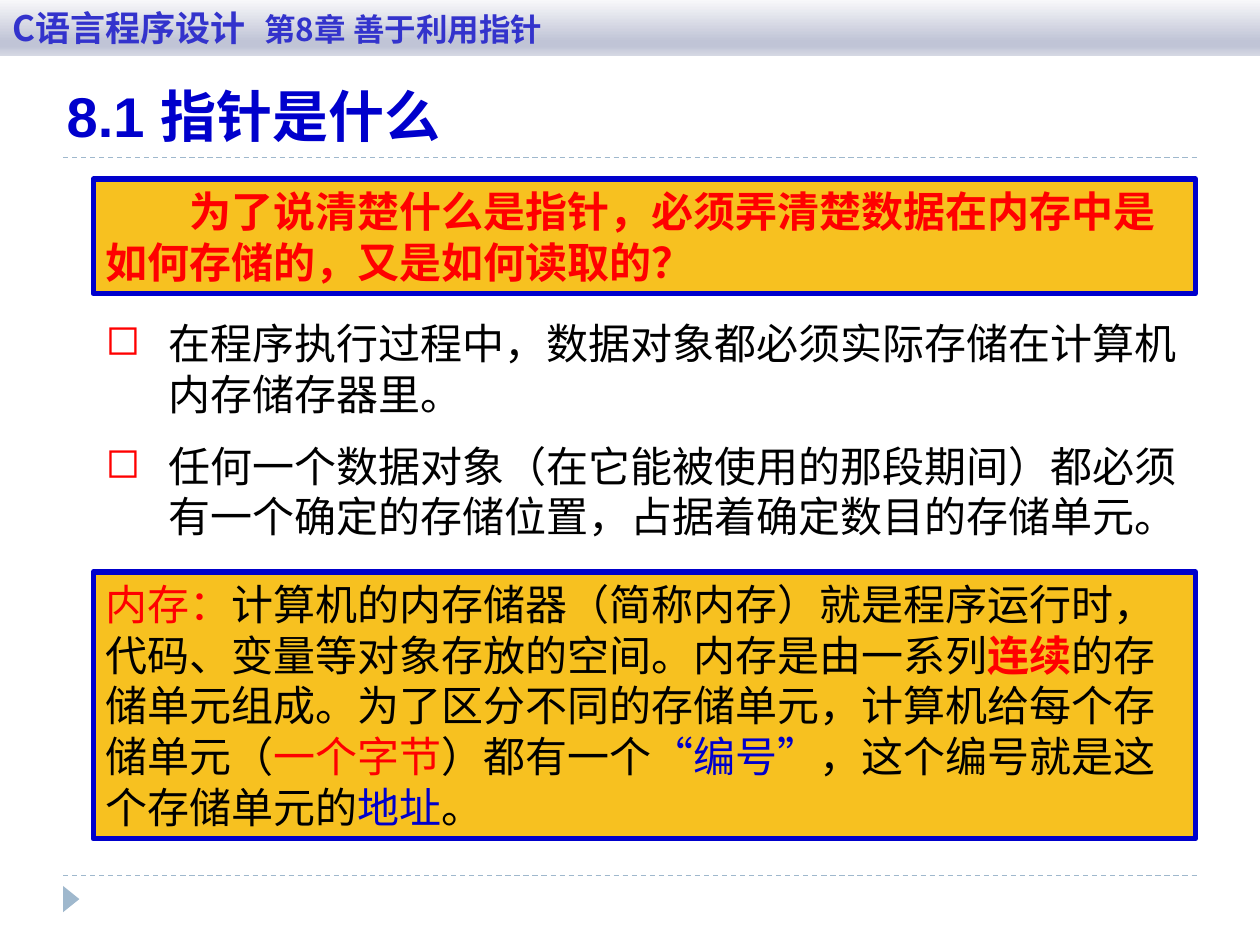
"""Build the slide that introduces pointers and memory addresses."""
from lxml.etree import SubElement
from pptx import Presentation
from pptx.dml.color import RGBColor
from pptx.enum.dml import MSO_LINE
from pptx.enum.shapes import MSO_CONNECTOR, MSO_SHAPE
from pptx.enum.text import MSO_ANCHOR, PP_ALIGN
from pptx.oxml.ns import qn
from pptx.util import Cm, Pt

COLORS = {
    "red": "FF0000", "blue": "0000CC", "black": "000000", "gold": "F7C120",
    "header": "3333CC", "rule": "9FB8CD",
}
HEADER_STOPS = [(0, "F8F8FA"), (74, "C0C4D6"), (83, "C0C4D6"), (100, "D5D8E3")]
ASIAN_FONT = "Noto Sans CJK JP"
LINE_RATIO = 1.21
BODY_LEFT, BODY_WIDTH = 1.88, 22.22

QUESTION = "为了说清楚什么是指针，必须弄清楚数据在内存中是如何存储的，又是如何读取的？"
FACTS = [
    "在程序执行过程中，数据对象都必须实际存储在计算机内存储存器里。",
    "任何一个数据对象（在它能被使用的那段期间）都必须有一个确定的存储位置，占据着确定数目的存储单元。",
]
MEMORY = [
    ("内存：", "red", False),
    ("计算机的内存储器（简称内存）就是程序运行时，代码、变量等对象存放的空间。内存是由一系列", "black", False),
    ("连续", "red", True),
    ("的存储单元组成。为了区分不同的存储单元，计算机给每个存储单元（", "black", False),
    ("一个字节", "red", False),
    ("）都有一个", "black", False),
    ("“编号”", "blue", False),
    ("，这个编号就是这个存储单元的", "black", False),
    ("地址", "blue", False),
    ("。", "black", False),
]


def rgb(name):
    """Return the named colour."""
    return RGBColor.from_string(COLORS[name])


def format_span(span, size, color, bold=False, font="Arial"):
    """Set the fonts, size, colour and weight of a run."""
    span.font.name = font
    span.font.size = Pt(size)
    span.font.bold = bold
    span.font.color.rgb = rgb(color)
    properties = span.font._element
    properties.set("lang", "zh-CN")
    SubElement(properties, qn("a:ea"), typeface=ASIAN_FONT)


def format_para(para, size, indent=0, margin=0):
    """Set the alignment, line height and indents of a paragraph."""
    para.alignment = PP_ALIGN.LEFT
    para.line_spacing = Pt(round(size * LINE_RATIO, 1))
    para.space_before = Pt(0)
    properties = para._p.get_or_add_pPr()
    properties.set("marL", str(Cm(margin)))
    properties.set("indent", str(Cm(indent)))
    return properties


def add_spans(para, spans, size, font="Arial"):
    """Append coloured runs to a paragraph."""
    for text, color, bold in spans:
        span = para.add_run()
        span.text = text
        format_span(span, size, color, bold, font)


def add_panel(slide, left, top, width, height):
    """Add a plain rectangle with wrapped text starting at its top."""
    panel = slide.shapes.add_shape(
        MSO_SHAPE.RECTANGLE, Cm(left), Cm(top), Cm(width), Cm(height))
    panel.shadow.inherit = False
    panel.text_frame.word_wrap = True
    panel.text_frame.vertical_anchor = MSO_ANCHOR.TOP
    return panel


def add_callout(slide, top, height, spans, indent=0, font="Arial"):
    """Add a gold panel with a blue border."""
    panel = add_panel(slide, BODY_LEFT, top, BODY_WIDTH, height)
    panel.fill.solid()
    panel.fill.fore_color.rgb = rgb("gold")
    panel.line.color.rgb = rgb("blue")
    panel.line.width = Pt(3)
    para = panel.text_frame.paragraphs[0]
    format_para(para, 24, indent)
    add_spans(para, spans, 24, font)


def add_header(slide):
    """Add the gradient band with the course and chapter names."""
    band = add_panel(slide, 0, 0, 25.4, 1.12)
    band.line.fill.background()
    band.fill.gradient()
    band.fill.gradient_angle = 270
    stops = band._element.spPr.find(qn("a:gradFill")).find(qn("a:gsLst"))
    stops.clear()
    for position, color in HEADER_STOPS:
        stop = SubElement(stops, qn("a:gs"), pos=str(position * 1000))
        SubElement(stop, qn("a:srgbClr"), val=color)
    para = band.text_frame.paragraphs[0]
    tabs = SubElement(format_para(para, 20), qn("a:tabLst"))
    SubElement(tabs, qn("a:tab"), pos=str(Cm(18.2)), algn="l")
    add_spans(para, [("C语言程序设计\t", "header", True)], 20, ASIAN_FONT)
    add_spans(para, [("第8章 善于利用指针", "header", True)], 18, ASIAN_FONT)


def set_title(slide, text):
    """Place and format the title placeholder."""
    title = slide.shapes.title
    title.left, title.top, title.width, title.height = Cm(1.09), Cm(1.5), Cm(21.56), Cm(2.1)
    frame = title.text_frame
    frame.text = text
    frame.vertical_anchor = MSO_ANCHOR.TOP
    format_para(frame.paragraphs[0], 32)
    format_span(frame.paragraphs[0].runs[0], 32, "blue", True)


def add_bullets(slide, top, height, texts):
    """Add a list with red square bullets."""
    box = slide.shapes.add_textbox(Cm(BODY_LEFT), Cm(top), Cm(BODY_WIDTH), Cm(height))
    frame = box.text_frame
    frame.word_wrap = True
    for number, text in enumerate(texts):
        para = frame.add_paragraph() if number else frame.paragraphs[0]
        properties = format_para(para, 24, -1.27, 1.27)
        para.space_before = Pt(12 if number else 0)
        color = SubElement(properties, qn("a:buClr"))
        SubElement(color, qn("a:srgbClr"), val=COLORS["red"])
        SubElement(properties, qn("a:buChar"), char="◻")
        add_spans(para, [(text, "black", False)], 24)


def add_rule(slide, top):
    """Add a dashed horizontal rule."""
    rule = slide.shapes.add_connector(
        MSO_CONNECTOR.STRAIGHT, Cm(1.27), Cm(top), Cm(24.13), Cm(top))
    rule.line.color.rgb = rgb("rule")
    rule.line.width = Pt(0.75)
    rule.line.dash_style = MSO_LINE.DASH
    SubElement(rule._element.spPr, qn("a:effectLst"))


def add_marker(slide):
    """Add the footer triangle pointing right."""
    marker = slide.shapes.add_shape(
        MSO_SHAPE.ISOSCELES_TRIANGLE, Cm(1.17), Cm(17.96), Cm(0.53), Cm(0.33))
    marker.rotation = 90
    marker.shadow.inherit = False
    marker.fill.solid()
    marker.fill.fore_color.rgb = rgb("rule")
    marker.line.fill.background()


def main():
    """Build and save the deck."""
    deck = Presentation()
    deck.slide_width, deck.slide_height = Cm(25.4), Cm(19.05)
    slide = deck.slides.add_slide(deck.slide_layouts[5])
    for top in (17.65, 3.17):
        add_rule(slide, top)
    add_marker(slide)
    add_bullets(slide, 6.27, 4.88, FACTS)
    add_callout(slide, 3.61, 2.31, [(QUESTION, "red", True)], indent=1.7)
    set_title(slide, "8.1 指针是什么")
    add_callout(slide, 11.53, 5.38, MEMORY, font=ASIAN_FONT)
    add_header(slide)
    deck.save("out.pptx")


if __name__ == "__main__":
    main()
